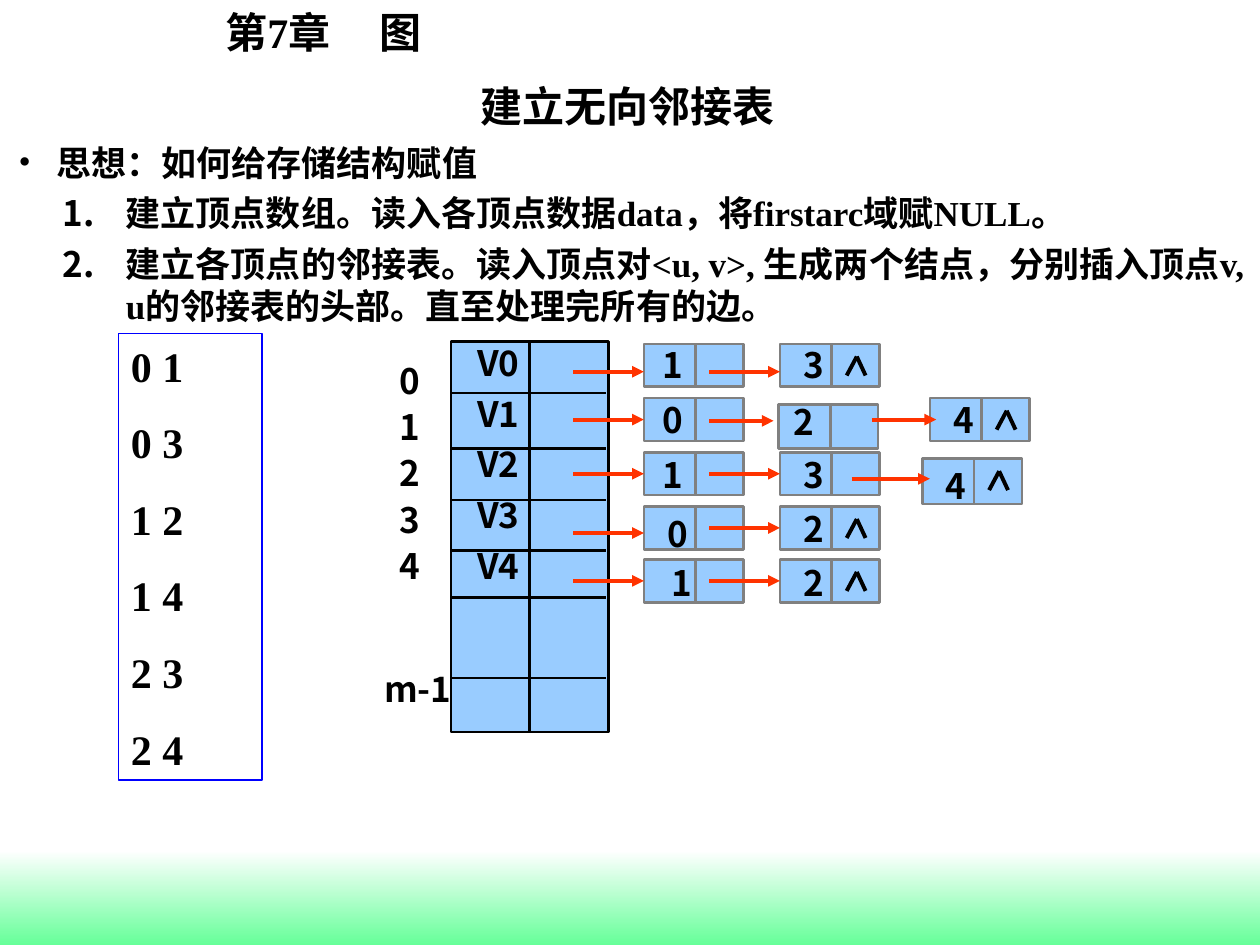
from collections import namedtuple

from lxml import etree
from pptx import Presentation
from pptx import util as u
from pptx.dml.color import RGBColor
from pptx.enum import shapes, text
from pptx.oxml import ns

PX = 9144
BLACK = RGBColor(0x00, 0x00, 0x00)
WHITE = RGBColor(0xFF, 0xFF, 0xFF)
GREEN = RGBColor(0x66, 0xFF, 0x99)
SKY = RGBColor(0x99, 0xCC, 0xFF)
GRAY = RGBColor(0x80, 0x80, 0x80)
RED = RGBColor(0xFF, 0x33, 0x00)
BLUE = RGBColor(0x00, 0x00, 0xFF)
SERIF = "Times New Roman"
SANS = "Noto Sans CJK SC"

Node = namedtuple("Node", "x y value value_dx value_dy last arrow_from arrow_to arrow_dy height",
                  defaults=(-56, 0, 17, 34))
CHAINS = [
    [Node(511, 273, "1", 5, -5, False, arrow_dy=22),
     Node(619, 273, "3", 9, -5, True, arrow_dy=22)],
    [Node(511, 316, "0", 5, -5, False),
     Node(618, 321, "2", 2, -8, False, -55, -4, 13, 35),
     Node(738, 316, "4", 9, -5, True, -46, 5)],
    [Node(511, 359, "1", 5, -4, False),
     Node(619, 359, "3", 9, -4, False),
     Node(732, 364, "4", 9, 0, True, -56, 6, 16, 36)],
    [Node(511, 402, "0", 9, 0, False, arrow_dy=21),
     Node(619, 402, "2", 9, -4, True)],
    [Node(511, 444, "1", 12, -3, False),
     Node(619, 444, "2", 9, -3, True)],
]


def add_xml(parent, tag, **attributes):
    """Append a drawing element to a parent and return it."""
    return etree.SubElement(parent, ns.qn(tag), attributes)


def write(frame, lines, size, font, gap=0):
    """Fill a text frame with bold black paragraphs set at 1.2 line height."""
    frame.text = "\n".join(lines)
    frame.word_wrap = True
    for index, paragraph in enumerate(frame.paragraphs):
        paragraph.alignment = text.PP_ALIGN.LEFT
        paragraph.line_spacing = u.Pt(size * 1.2)
        if index:
            paragraph.space_before = u.Pt(gap)
        for run in paragraph.runs:
            run.font.size = u.Pt(size)
            run.font.bold = True
            run.font.color.rgb = BLACK
            run.font.name = font
            add_xml(run._r.get_or_add_rPr(), "a:ea", typeface=SANS)


def add_text(slide, box, lines, size, font, gap=0):
    """Add a text box and return its frame."""
    frame = slide.shapes.add_textbox(*(v * PX for v in box)).text_frame
    write(frame, lines, size, font, gap)
    return frame


def add_box(slide, box, fill=None, line=None, weight=1.5):
    """Add a flat rectangle with optional fill and outline."""
    rect = slide.shapes.add_shape(shapes.MSO_SHAPE.RECTANGLE, *(v * PX for v in box))
    rect.shadow.inherit = False
    if fill is None:
        rect.fill.background()
    else:
        rect.fill.solid()
        rect.fill.fore_color.rgb = fill
    if line is None:
        rect.line.fill.background()
    else:
        rect.line.color.rgb = line
        rect.line.width = u.Pt(weight)
    return rect


def add_line(slide, ends, color, weight=1.5, arrow=False):
    """Add a straight line, with an arrowhead at its end if asked."""
    line = slide.shapes.add_connector(shapes.MSO_CONNECTOR.STRAIGHT, *(v * PX for v in ends))
    line.line.color.rgb = color
    line.line.width = u.Pt(weight)
    if arrow:
        add_xml(line.line._get_or_add_ln(), "a:tailEnd", type="triangle")
    add_xml(line._element.spPr, "a:effectLst")
    return line


def add_footer_band(slide, box):
    """Draw the fading green band at the foot of the slide."""
    fill = add_box(slide, box).fill
    fill.gradient()
    fill.gradient_angle = 270
    for stop, color in zip(fill.gradient_stops, (WHITE, GREEN)):
        stop.color.rgb = color


def add_headings(slide, chapter_box, title_box):
    """Place the chapter name and the slide title."""
    chapter = add_text(slide, chapter_box, ["第7章\t图"], 24, SERIF)
    tabs = add_xml(chapter.paragraphs[0]._p.get_or_add_pPr(), "a:tabLst")
    add_xml(tabs, "a:tab", pos=str(122 * PX), algn="l")
    title = add_text(slide, title_box, ["建立无向邻接表"], 24, SERIF)
    title.vertical_anchor = text.MSO_ANCHOR.BOTTOM
    title.margin_bottom = 10 * PX
    title.paragraphs[0].alignment = text.PP_ALIGN.CENTER


def add_idea(slide, box):
    """Write the bulleted idea with its two numbered steps."""
    lines = ["思想：如何给存储结构赋值",
             "建立顶点数组。读入各顶点数据data，将firstarc域赋NULL。",
             "建立各顶点的邻接表。读入顶点对<u, v>, 生成两个结点，分别插入顶点v, u的邻接表的头部。直至处理完所有的边。"]
    idea, *steps = add_text(slide, box, lines, 20, SERIF, 5).paragraphs
    for paragraph, left, hang, font in [(idea, 30, 30, SERIF)] + [(s, 85, 50, SANS) for s in steps]:
        properties = paragraph._p.get_or_add_pPr()
        properties.set("marL", str(left * PX))
        properties.set("indent", str(-hang * PX))
        add_xml(properties, "a:buFont", typeface=font)
        if paragraph is idea:
            add_xml(properties, "a:buChar", char="•")
        else:
            paragraph.level = 1
            add_xml(properties, "a:buAutoNum", type="arabicPeriod")


def add_edge_list(slide, box):
    """List the vertex pairs in a blue frame."""
    frame = add_box(slide, box, line=BLUE, weight=0.75).text_frame
    frame.vertical_anchor = text.MSO_ANCHOR.TOP
    write(frame, ["0 1", "0 3", "1 2", "1 4", "2 3", "2 4"], 24, SERIF, 15)


def add_vertex_array(slide, box):
    """Draw the vertex array with its indices and vertex names."""
    left, top, width, height = box
    array = add_box(slide, box, SKY, BLACK)
    for row in (41, 85, 126, 166, 203, 267):
        add_line(slide, (left + 1, top + row, left + width - 2, top + row), BLACK)
    middle = left + width // 2
    divider = add_line(slide, (middle, top, middle, top + height), BLACK)
    divider.begin_connect(array, 0)
    divider.end_connect(array, 2)
    indices = add_text(slide, (left - 63, top + 9, 85, 289),
                       [*"01234", "m-1"], 20, SANS, 2.5).paragraphs
    for index in indices[:-1]:
        index._p.get_or_add_pPr().set("marL", str(12 * PX))
    indices[-1].space_before = u.Pt(46.5)
    add_text(slide, (left + 11, top - 5, 57, 205), [f"V{i}" for i in range(5)], 20, SANS, 5)


def add_node(slide, node):
    """Draw one list node with its value, end mark and incoming arrow."""
    x, y = node.x, node.y
    cell = add_box(slide, (x, y, 79, node.height), SKY, GRAY)
    add_line(slide, (x + 41, y, x + 41, y + node.height), GRAY)
    add_text(slide, (x + node.value_dx, y + node.value_dy, 57, 44), [node.value], 20, SANS)
    if node.last:
        add_line(slide, (x + 53, y + 25, x + 61, y + 10), BLACK, 2.25)
        add_line(slide, (x + 61, y + 10, x + 68, y + 25), BLACK, 2.25)
    level = y + node.arrow_dy
    arrow = add_line(slide, (x + node.arrow_from, level, x + node.arrow_to, level),
                     RED, 2.25, arrow=True)
    if node.arrow_to == 0 and 2 * node.arrow_dy == node.height:
        arrow.end_connect(cell, 1)


def main():
    """Build the adjacency list slide and save it."""
    deck = Presentation()
    deck.slide_width, deck.slide_height = 1000 * PX, 750 * PX
    slide = deck.slides.add_slide(deck.slide_layouts[6])
    add_footer_band(slide, (0, 675, 1000, 75))
    add_headings(slide, (169, 0, 183, 50), (183, 36, 630, 78))
    add_idea(slide, (5, 107, 996, 155))
    add_vertex_array(slide, (358, 271, 125, 310))
    for chain in CHAINS:
        for node in chain:
            add_node(slide, node)
    add_edge_list(slide, (94, 265, 114, 354))
    deck.save("out.pptx")


if __name__ == "__main__":
    main()
